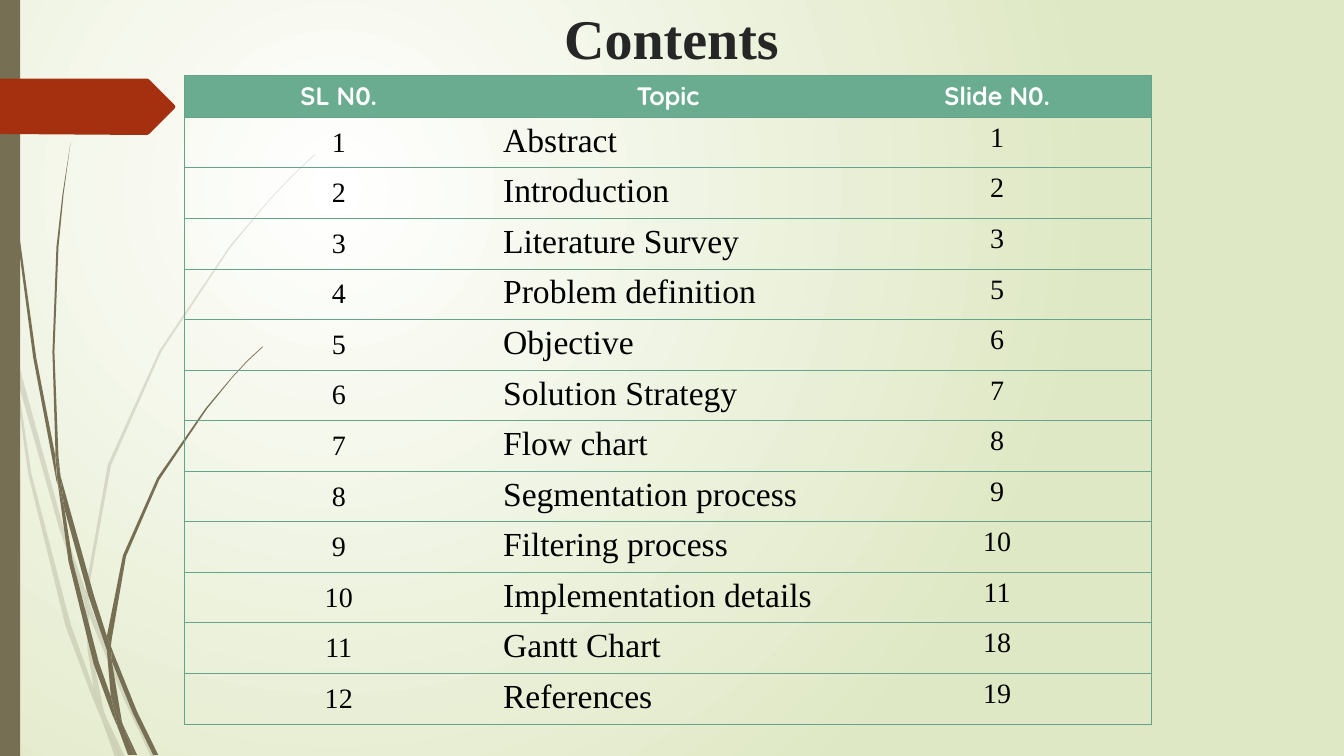
from lxml import etree
from pptx import Presentation
from pptx.dml.color import RGBColor
from pptx.enum.shapes import MSO_SHAPE
from pptx.enum.text import MSO_ANCHOR, PP_ALIGN
from pptx.oxml.ns import qn
from pptx.util import Inches, Pt

RECT = MSO_SHAPE.RECTANGLE
TOP, MID = MSO_ANCHOR.TOP, MSO_ANCHOR.MIDDLE
CENTER, JUST = PP_ALIGN.CENTER, PP_ALIGN.JUSTIFY

# Content
TITLE = "Contents"
HEADS = ["SL N0.", "Topic", "Slide N0."]
TOPICS = [
    ("Abstract", 1), ("Introduction", 2), ("Literature Survey", 3),
    ("Problem definition", 5), ("Objective", 6), ("Solution Strategy", 7),
    ("Flow chart", 8), ("Segmentation process", 9), ("Filtering process", 10),
    ("Implementation details", 11), ("Gantt Chart", 18), ("References", 19),
]
COLORS = {
    "white": "FFFFFF", "lime": "DFE8C4", "olive": "766F54", "rust": "A53010",
    "title": "262626", "head": "6AAC90", "rule": "65A48B", "text": "000000",
}

# Grass blade outlines: corners (x, y) in inches
PALE = [
    [(.11, 3.5), (.09, 3.22), (0, 2.82), (0, 2.99), (.1, 3.44)],
    [(.58, 5.22), (.84, 5.99), (.85, 5.86), (.62, 5.2), (.14, 3.45),
     (.17, 3.76)],
    [(.92, 6.07), (.88, 5.96), (.88, 6.1), (1.23, 6.94), (1.5, 7.51),
     (1.55, 7.51), (1.27, 6.92)],
    [(1.19, 7.51), (1.24, 7.51), (1.05, 7.11)],
    [(.93, 6.83), (.7, 6.19), (.31, 4.69), (.17, 3.76), (.11, 3.5),
     (.28, 4.7), (.65, 6.21), (.92, 6.93), (1.01, 7.14), (.99, 7.07)],
    [(.84, 5.99), (.87, 6.46), (.93, 6.83), (.96, 6.92), (1.05, 7.11),
     (1.03, 7.06), (.91, 6.46), (.88, 6.1), (.88, 6.08)],
    [(.88, 5.84), (1.1, 4.62), (1.6, 3.49), (2.29, 2.45), (2.68, 1.98),
     (2.9, 1.75), (3.12, 1.54), (3.12, 1.53), (2.89, 1.75), (2.68, 1.97),
     (2.28, 2.44), (1.58, 3.48), (1.07, 4.61), (.85, 5.84), (.85, 5.86),
     (.88, 5.96)],
    [(1.01, 7.14), (1.14, 7.51), (1.19, 7.51)],
    [(.88, 6.08), (.88, 6.1), (.88, 5.96), (.85, 5.86), (.84, 5.99)],
    [(.96, 6.92), (.93, 6.83), (.99, 7.07), (1.01, 7.14), (1.19, 7.51),
     (1.05, 7.11)],
]
DARK = [
    [(.07, 1.1), (.17, 2.33), (.33, 3.55), (.56, 4.77), (.57, 4.81),
     (.55, 4.57), (.55, 4.53), (.36, 3.55), (.19, 2.32), (.08, 1.09),
     (.05, .48), (.04, 0), (.03, 0), (.04, .48)],
    [(.88, 5.92), (1.06, 6.45), (1.06, 6.33), (1.06, 6.31), (.93, 5.9),
     (.6, 4.72), (.64, 5.05)],
    [(1.13, 6.49), (1.1, 6.41), (1.11, 6.56), (1.32, 7.08), (1.52, 7.49),
     (1.57, 7.49), (1.36, 7.06)],
    [(1.1, 6.91), (.98, 6.57), (.72, 5.56), (.64, 5.05), (.57, 4.77),
     (.68, 5.57), (.93, 6.59), (1.11, 7.08), (1.17, 7.22), (1.16, 7.17)],
    [(.6, 4.72), (.58, 4.53), (.54, 3.49), (.58, 2.45), (.63, 1.93),
     (.7, 1.41), (.62, 1.93), (.56, 2.45), (.52, 3.49), (.55, 4.49)],
    [(1.33, 7.49), (1.36, 7.49), (1.22, 7.19)],
    [(.57, 4.77), (.64, 5.05), (.6, 4.72), (.55, 4.49), (.55, 4.53)],
    [(1.11, 6.33), (1.25, 5.52), (1.58, 4.76), (2.05, 4.06), (2.31, 3.74),
     (2.45, 3.59), (2.61, 3.44), (2.6, 3.44), (2.45, 3.58), (2.31, 3.73),
     (2.04, 4.05), (1.56, 4.74), (1.22, 5.51), (1.06, 6.31), (1.1, 6.41)],
    [(1.17, 7.22), (1.27, 7.49), (1.31, 7.49)],
    [(1.06, 6.45), (1.1, 6.91), (1.16, 7.06), (1.22, 7.19), (1.21, 7.16),
     (1.11, 6.56), (1.09, 6.51)],
    [(1.06, 6.45), (1.09, 6.51), (1.11, 6.56), (1.1, 6.41), (1.06, 6.31),
     (1.06, 6.33)],
    [(1.16, 7.06), (1.1, 6.91), (1.16, 7.17), (1.17, 7.22), (1.3, 7.49),
     (1.33, 7.49), (1.22, 7.19)],
]
ARROW = [(0, .78), (1.46, .78), (1.48, .79), (1.73, 1.04), (1.74, 1.06),
         (1.73, 1.08), (1.48, 1.33), (1.46, 1.34), (0, 1.33)]

# Text formats and table grid
FONTS = {
    "title": dict(name="Times New Roman", size=Pt(40), bold=True),
    "head": dict(name="Quicksand", size=Pt(18), bold=True),
    "num": dict(name="Times New Roman", size=Pt(20), bold=False),
    "topic": dict(name="Times New Roman", size=Pt(24), bold=False),
}
INKS = {"title": "title", "head": "white", "num": "text", "topic": "text"}
COLS = [3.06, 3.47, 3.06]
LEFT, UP, HIGH, HEAD_H = 1.83, .75, 6.42, .4
ROW_H = (HIGH - HEAD_H) / len(TOPICS)
PLAIN = "{2D5ABB26-0587-4C30-8999-92F81FD0307C}"


def rgb(name):
    return RGBColor.from_string(COLORS[name])


def write(frame, text, kind, align):
    para = frame.paragraphs[0]
    para.alignment = align
    run = para.add_run()
    run.text = text
    for key, val in FONTS[kind].items():
        setattr(run.font, key, val)
    run.font.color.rgb = rgb(INKS[kind])


def paint(shape, color, alpha=None):
    shape.shadow.inherit = False
    shape.fill.solid()
    shape.fill.fore_color.rgb = rgb(color)
    shape.line.fill.background()
    if alpha:
        tint = shape.fill._xPr.find(".//" + qn("a:srgbClr"))
        etree.SubElement(tint, qn("a:alpha"), val=str(alpha * 1000))


def outline(shapes, knots, color, alpha=None):
    pts = [(Inches(x), Inches(y)) for x, y in knots]
    form = shapes.build_freeform(*pts[0], scale=1.0)
    form.add_line_segments(pts[1:], close=True)
    paint(form.convert_to_shape(), color, alpha)


def border(cell, sides):
    props = cell._tc.get_or_add_tcPr()
    for i, side in enumerate(sides):
        line = etree.Element(qn("a:ln" + side), w=str(Pt(.75)))
        fill = etree.SubElement(line, qn("a:solidFill"))
        etree.SubElement(fill, qn("a:srgbClr"), val=COLORS["rule"])
        props.insert(i, line)


def main():
    prs = Presentation()
    prs.slide_width, prs.slide_height = Inches(13.33), Inches(7.5)
    slide = prs.slides.add_slide(prs.slide_layouts[5])
    shapes = slide.shapes

    # Background glow
    back = slide.background.fill
    back.gradient()
    for stop, color in zip(back.gradient_stops, ("white", "lime")):
        stop.color.rgb = rgb(color)
    grad = slide._element.find(".//" + qn("a:gradFill"))
    grad.remove(grad.find(qn("a:lin")))
    glow = etree.SubElement(grad, qn("a:path"), path="circle")
    etree.SubElement(glow, qn("a:fillToRect"),
                     l="50000", t="50000", r="100000", b="100000")

    # Grass, side bar and arrow
    for knots in PALE:
        outline(shapes, knots, "olive", 20)
    for knots in DARK:
        outline(shapes, knots, "olive")
    paint(shapes.add_shape(RECT, 0, 0, Inches(.2), prs.slide_height), "olive")
    outline(shapes, ARROW, "rust")

    # Title
    title = shapes.title
    title.left, title.top, title.width, title.height = map(
        Inches, (.91, -.02, 11.5, 1.1))
    title.text_frame.vertical_anchor = TOP
    write(title.text_frame, TITLE, "title", CENTER)

    # Contents table
    rows = [HEADS] + [(str(i), topic, str(page))
                      for i, (topic, page) in enumerate(TOPICS, 1)]
    last = len(COLS) - 1
    table = shapes.add_table(len(rows), len(COLS), *map(
        Inches, (LEFT, UP, sum(COLS), HIGH))).table
    table.horz_banding = False
    table._tbl.tblPr.find(qn("a:tableStyleId")).text = PLAIN
    for col, wide in zip(table.columns, COLS):
        col.width = Inches(wide)
    for r, row in enumerate(rows):
        table.rows[r].height = Inches(ROW_H if r else HEAD_H)
        for c, text in enumerate(row):
            cell = table.cell(r, c)
            kind = "head" if r == 0 else "topic" if c == 1 else "num"
            write(cell.text_frame, text, kind,
                  JUST if kind == "topic" else CENTER)
            cell.vertical_anchor = MID if r == 0 or c == 0 else TOP
            if r:
                cell.fill.background()
            else:
                cell.fill.solid()
                cell.fill.fore_color.rgb = rgb("head")
            border(cell, "L" * (c == 0) + "R" * (c == last) + "TB")

    prs.save("out.pptx")


if __name__ == "__main__":
    main()
